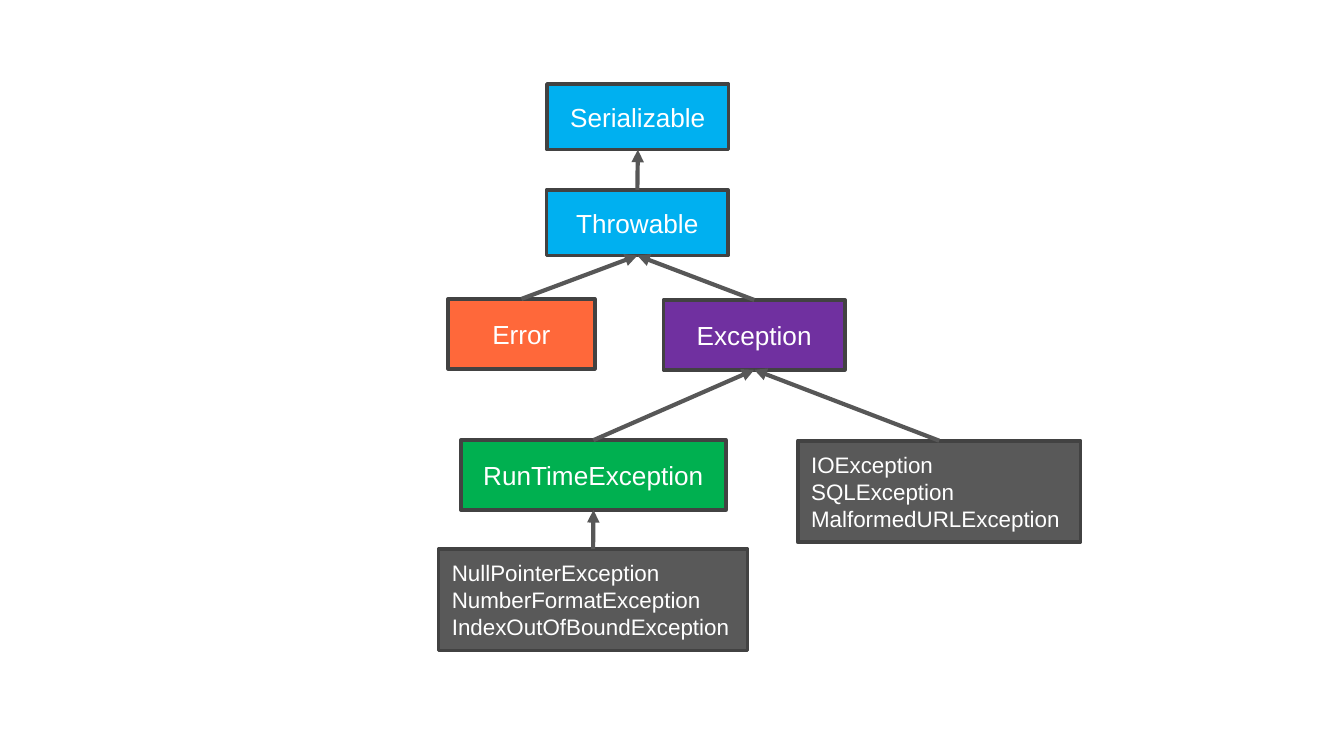
from lxml.etree import SubElement
from pptx import Presentation
from pptx.dml.color import RGBColor
from pptx.enum.shapes import MSO_CONNECTOR, MSO_SHAPE
from pptx.enum.text import MSO_ANCHOR, PP_ALIGN
from pptx.oxml.ns import qn
from pptx.util import Cm, Pt

WHITE = RGBColor(0xFF, 0xFF, 0xFF)
BLUE = RGBColor(0x00, 0xB0, 0xF0)
ORANGE = RGBColor(0xFF, 0x68, 0x3A)
PURPLE = RGBColor(0x70, 0x30, 0xA0)
GREEN = RGBColor(0x00, 0xB0, 0x50)
GRAY = RGBColor(0x59, 0x59, 0x59)
BORDER = RGBColor(0x42, 0x42, 0x42)
ARROW = RGBColor(0x57, 0x57, 0x57)

TOP_SITE, BOTTOM_SITE = 0, 2

presentation = Presentation()
presentation.slide_width = Cm(25.4)
presentation.slide_height = Cm(14.29)
slide = presentation.slides.add_slide(presentation.slide_layouts[6])

unchecked = "NullPointerException\nNumberFormatException\nIndexOutOfBoundException"
checked = "IOException\nSQLException\nMalformedURLException"
classes = {
    "serializable": ("Serializable", BLUE, 10.34, 1.59, 3.43, 1.24),
    "throwable": ("Throwable", BLUE, 10.33, 3.59, 3.43, 1.24),
    "error": ("Error", ORANGE, 8.47, 5.65, 2.77, 1.32),
    "exception": ("Exception", PURPLE, 12.54, 5.67, 3.43, 1.32),
    "runtime": ("RunTimeException", GREEN, 8.71, 8.32, 5.01, 1.32),
    "unchecked": (unchecked, GRAY, 8.29, 10.38, 5.84, 1.92),
    "checked": (checked, GRAY, 15.08, 8.33, 5.34, 1.92),
}

boxes = {}
for name, (text, color, *bounds) in classes.items():
    shape = slide.shapes.add_shape(MSO_SHAPE.RECTANGLE, *map(Cm, bounds))
    shape.shadow.inherit = False
    shape.fill.solid()
    shape.fill.fore_color.rgb = color
    shape.line.color.rgb = BORDER
    shape.line.width = Pt(2)
    text_frame = shape.text_frame
    text_frame.text = text
    text_frame.word_wrap = True
    text_frame.vertical_anchor = MSO_ANCHOR.MIDDLE
    is_list = len(text_frame.paragraphs) > 1
    for paragraph in text_frame.paragraphs:
        paragraph.alignment = PP_ALIGN.LEFT if is_list else PP_ALIGN.CENTER
        font = paragraph.runs[0].font
        font.name = "Arial"
        font.size = Pt(12 if is_list else 14)
        font.color.rgb = WHITE
    boxes[name] = shape

inheritance = [
    ("throwable", "serializable"),
    ("error", "throwable"),
    ("exception", "throwable"),
    ("runtime", "exception"),
    ("checked", "exception"),
    ("unchecked", "runtime"),
]
for child, parent in inheritance:
    start, end = boxes[child], boxes[parent]
    connector = slide.shapes.add_connector(
        MSO_CONNECTOR.STRAIGHT,
        start.left + start.width // 2,
        start.top,
        end.left + end.width // 2,
        end.top + end.height,
    )
    connector.begin_connect(start, TOP_SITE)
    connector.end_connect(end, BOTTOM_SITE)
    connector.line.color.rgb = ARROW
    connector.line.width = Pt(2.25)
    properties = connector.element.spPr
    SubElement(properties.find(qn("a:ln")), qn("a:tailEnd"), type="triangle")
    SubElement(properties, qn("a:effectLst"))

presentation.save("out.pptx")
